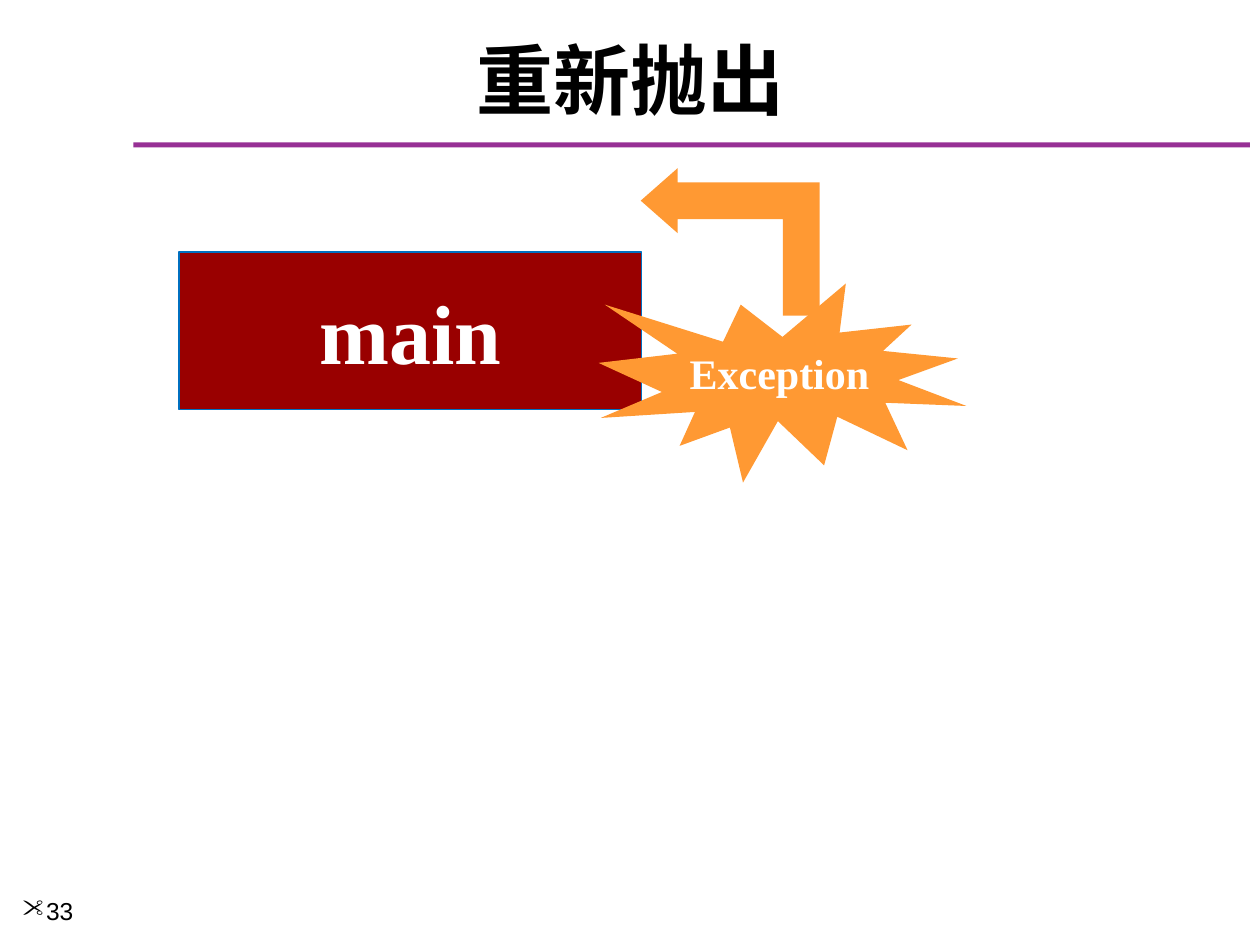
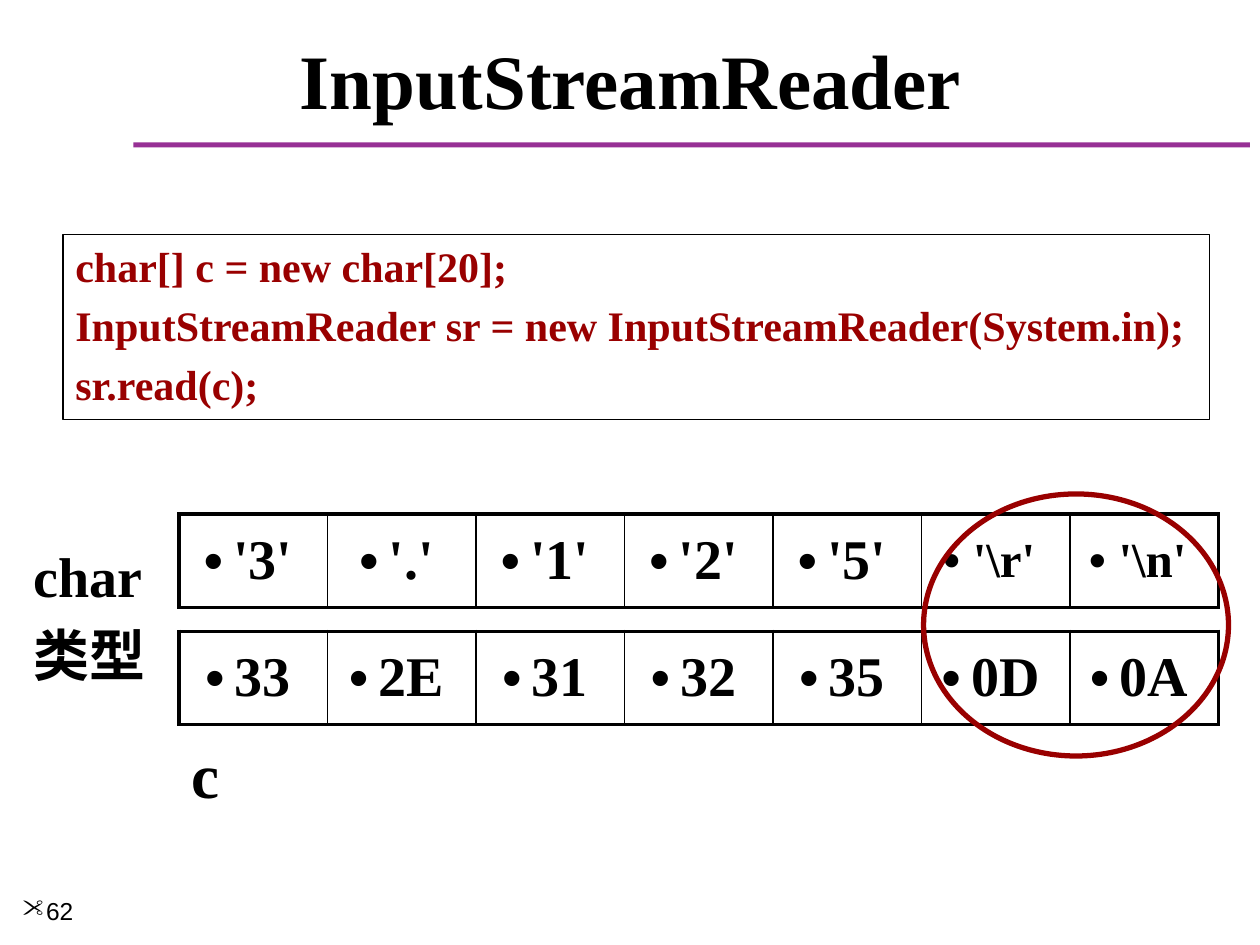
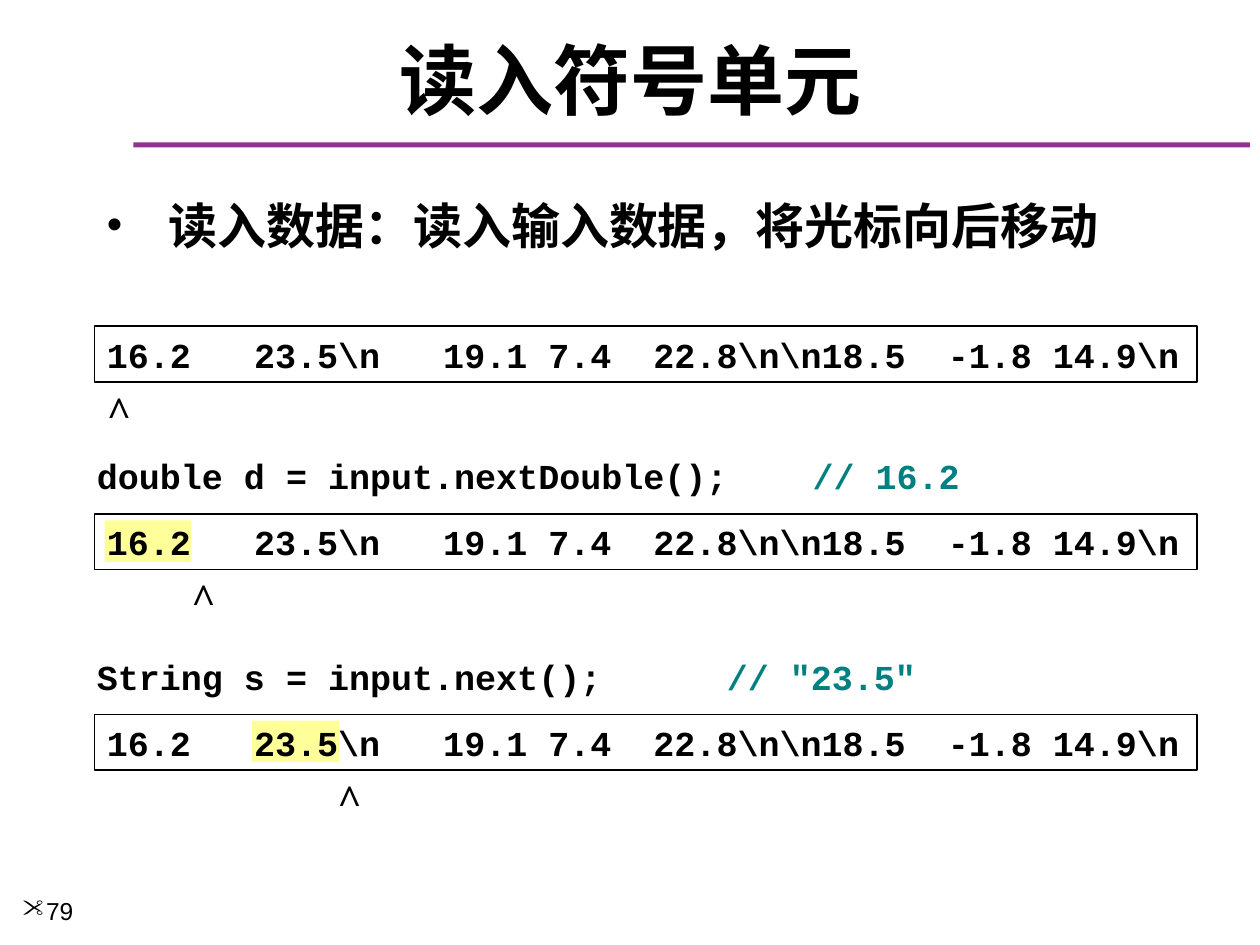
"""Build three Java course slides: rethrowing, InputStreamReader and token reading."""
from lxml.etree import SubElement
from pptx import Presentation
from pptx.dml.color import RGBColor
from pptx.enum.shapes import MSO_SHAPE
from pptx.enum.text import MSO_ANCHOR, PP_ALIGN
from pptx.oxml.ns import qn
from pptx.util import Inches, Pt

COLORS = {
    "black": "000000", "white": "FFFFFF", "band": "973095", "red": "990000",
    "blue": "0070C0", "orange": "FF9933", "yellow": "FFFF99", "teal": "008080",
}
SERIF, SANS, MONO, CHINESE = "Times New Roman", "Arial", "Courier New", "Noto Sans CJK SC"
FORMATS = {
    "title": {"name": SERIF, "size": Pt(44), "bold": True},
    "footer": {"name": SANS, "size": Pt(14), "bold": False},
    "main": {"name": SERIF, "size": Pt(48), "bold": True},
    "code": {"name": SERIF, "size": Pt(24), "bold": True},
    "array": {"name": SERIF, "size": Pt(36), "bold": True},
    "cell": {"name": SERIF, "size": Pt(32), "bold": True},
    "body": {"name": SERIF, "size": Pt(28), "bold": True},
    "mono": {"name": MONO, "size": Pt(20), "bold": True},
}
DOT = [("a:buFont", {"typeface": SANS}), ("a:buChar", {"char": "•"})]
SCISSORS = [("a:buFont", {"typeface": "Wingdings", "charset": "2"}), ("a:buChar", {"char": '"'})]


def add_box(slide, kind, place, fill=None, line=None, line_width=1, anchor=MSO_ANCHOR.TOP, wrap=True):
    """Add a text box, or a preset shape if a kind is given."""
    lengths = [Inches(value) for value in place]
    if kind is None:
        shape = slide.shapes.add_textbox(*lengths)
    else:
        shape = slide.shapes.add_shape(kind, *lengths)
        shape.shadow.inherit = False
        shape.fill.background()
        shape.line.fill.background()
    if fill:
        shape.fill.solid()
        shape.fill.fore_color.rgb = RGBColor.from_string(COLORS[fill])
    if line:
        shape.line.color.rgb = RGBColor.from_string(COLORS[line])
        shape.line.width = Pt(line_width)
    shape.text_frame.vertical_anchor = anchor
    shape.text_frame.word_wrap = wrap
    return shape


def write(paragraph, text, style, color="black", align=PP_ALIGN.LEFT, spacing=0.2, bullet=()):
    """Append a formatted run and set the paragraph around it."""
    paragraph.alignment = align
    paragraph.space_before = Pt(round(FORMATS[style]["size"].pt * spacing, 1))
    for tag, attributes in bullet:
        SubElement(paragraph._p.get_or_add_pPr(), qn(tag), attributes)
    run = paragraph.add_run()
    run.text = text
    for name, value in FORMATS[style].items():
        setattr(run.font, name, value)
    run.font.color.rgb = RGBColor.from_string(COLORS[color])
    SubElement(run._r.get_or_add_rPr(), qn("a:ea"), {"typeface": CHINESE})


presentation = Presentation()
presentation.slide_width, presentation.slide_height = Inches(10), Inches(7.5)

slides = []
for title, number in (("重新抛出", "33"), ("InputStreamReader", "62"), ("读入符号单元", "79")):
    slide = presentation.slides.add_slide(presentation.slide_layouts[6])
    add_box(slide, MSO_SHAPE.RECTANGLE, (1.06, 1.13, 8.86, 0.04), fill="band")
    heading = add_box(slide, None, (0.17, 0.25, 9.67, 0.75), anchor=MSO_ANCHOR.MIDDLE)
    write(heading.text_frame.paragraphs[0], title, "title", align=PP_ALIGN.CENTER, spacing=0)
    footer = add_box(slide, None, (0.08, 7.06, 1.08, 0.44))
    write(footer.text_frame.paragraphs[0], number, "footer", spacing=0, bullet=SCISSORS)
    slides.append(slide)
rethrow_slide, reader_slide, token_slide = slides

main_box = add_box(rethrow_slide, MSO_SHAPE.RECTANGLE, (1.42, 2, 3.67, 1.25), "red", "blue", 0.75,
                   anchor=MSO_ANCHOR.MIDDLE)
write(main_box.text_frame.paragraphs[0], "main", "main", "white", PP_ALIGN.CENTER)
burst = add_box(rethrow_slide, MSO_SHAPE.EXPLOSION1, (4.75, 2.25, 2.92, 1.58), "orange", wrap=False)
write(burst.text_frame.paragraphs[0], "Exception", "code", "white")
arrow = add_box(rethrow_slide, MSO_SHAPE.BENT_UP_ARROW, (5.21, 1.21, 1.17, 1.42), "orange")
arrow.rotation = 270
for index, value in enumerate((0.25, 0.22, 0.25)):
    arrow.adjustments[index] = value

code_lines = (
    "char[] c = new char[20];",
    "InputStreamReader sr = new InputStreamReader(System.in);",
    "sr.read(c);",
)
code_box = add_box(reader_slide, MSO_SHAPE.RECTANGLE, (0.5, 1.86, 9.1, 1.47), line="black",
                   line_width=0.75, wrap=False)
array_label = add_box(reader_slide, None, (1.42, 5.79, 0.43, 0.71), wrap=False)
type_label = add_box(reader_slide, None, (0.17, 4.25, 1.1, 1.29), wrap=False)
for shape, lines, style, color in (
    (code_box, code_lines, "code", "red"),
    (array_label, ("c",), "array", "black"),
    (type_label, ("char", "类型"), "cell", "black"),
):
    frame = shape.text_frame
    for index, text in enumerate(lines):
        paragraph = frame.add_paragraph() if index else frame.paragraphs[0]
        write(paragraph, text, style, color)

for top, values in (
    (4.08, ("'3'", "'.'", "'1'", "'2'", "'5'", r"'\r'", r"'\n'")),
    (5.01, ("33", "2E", "31", "32", "35", "0D", "0A")),
):
    count = len(values)
    table = reader_slide.shapes.add_table(
        1, count, Inches(1.42), Inches(top), Inches(8.25), Inches(0.74)).table
    table.first_row = table.horz_banding = False
    for column, text in enumerate(values):
        cell = table.cell(0, column)
        cell.fill.background()
        cell.vertical_anchor = MSO_ANCHOR.MIDDLE
        style = "body" if "\\" in text else "cell"
        write(cell.text_frame.paragraphs[0], text, style, align=PP_ALIGN.CENTER, bullet=DOT)
        properties = cell._tc.get_or_add_tcPr()
        widths = {
            "a:lnL": 2.25 if column == 0 else 1,
            "a:lnR": 2.25 if column == count - 1 else 1,
            "a:lnT": 2.25,
            "a:lnB": 2.25,
        }
        for position, (tag, width) in enumerate(widths.items()):
            border = SubElement(properties, qn(tag), {"w": str(Pt(width))})
            border_fill = SubElement(border, qn("a:solidFill"))
            SubElement(border_fill, qn("a:srgbClr"), {"val": COLORS["black"]})
            properties.insert(position, border)
add_box(reader_slide, MSO_SHAPE.OVAL, (7.33, 3.92, 2.42, 2.08), line="red", line_width=3)

body = add_box(token_slide, None, (0.75, 1.5, 8.42, 0.8)).text_frame.paragraphs[0]
write(body, "读入数据：读入输入数据，将光标向后移动", "body", spacing=0,
      bullet=[("a:buSzPct", {"val": "90000"})] + DOT)
for name, value in (("marL", 0.49), ("indent", -0.49)):
    body._p.get_or_add_pPr().set(name, str(Inches(value)))

input_text = r"16.2   23.5\n   19.1 7.4  22.8\n\n18.5  -1.8 14.9\n"
for top, caret_left, highlight_left, statement, comment, comment_tab in (
    (2.59, 0.75, None, None, None, None),
    (4.08, 1.42, 0.83, "double d = input.nextDouble();", "// 16.2", 5.68),
    (5.67, 2.58, 2, "String s = input.next();", '// "23.5"', 5),
):
    if statement:
        add_box(token_slide, MSO_SHAPE.RECTANGLE, (highlight_left, top + 0.05, 0.69, 0.33), "yellow")
        paragraph = add_box(token_slide, None, (0.67, top - 0.52, 8.92, 0.44)).text_frame.paragraphs[0]
        write(paragraph, statement + "\t", "mono")
        write(paragraph, comment, "mono", "teal")
        tabs = SubElement(paragraph._p.get_or_add_pPr(), qn("a:tabLst"))
        SubElement(tabs, qn("a:tab"), {"pos": str(Inches(comment_tab)), "algn": "l"})
    input_box = add_box(token_slide, MSO_SHAPE.RECTANGLE, (0.75, top, 8.75, 0.44), line="black",
                        anchor=MSO_ANCHOR.MIDDLE)
    write(input_box.text_frame.paragraphs[0], input_text, "mono")
    caret = add_box(token_slide, None, (caret_left, top + 0.41, 0.4, 0.5), wrap=False)
    write(caret.text_frame.paragraphs[0], "^", "code")

presentation.save("out.pptx")
